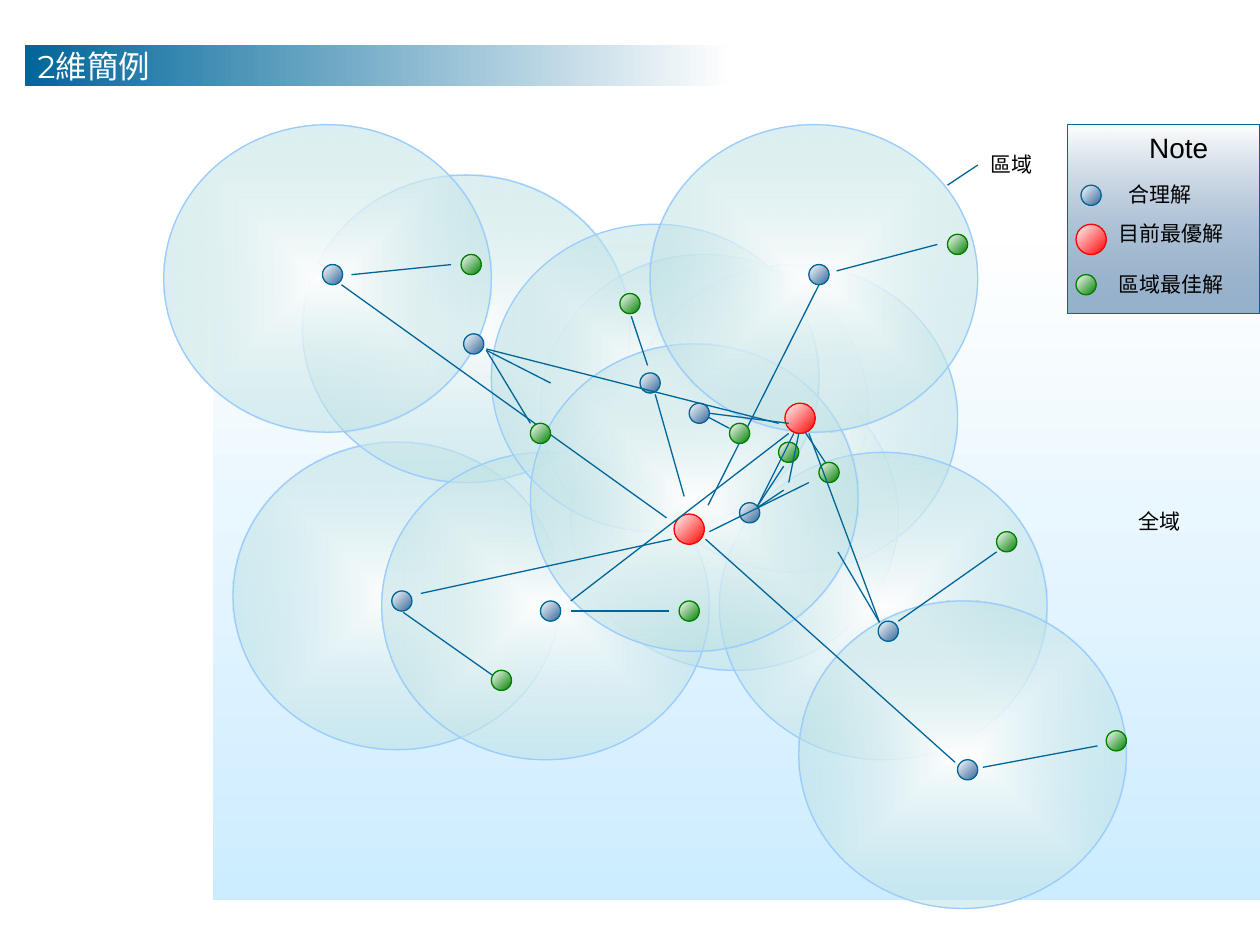
import pptx
import pptx.util
import pptx.dml.color
import pptx.enum.shapes
import pptx.enum.text
import pptx.oxml
import pptx.oxml.ns

# The page is a grid of 100 columns by 75 rows; all lengths are in cells.
CELL = 0.1
COLUMNS, ROWS = 100, 75

COLORS = {
    "white": "FFFFFF", "black": "000000", "pale": "FEFEFE", "sky": "CCECFF",
    "teal": "BBE0E3", "rim": "99CCFF", "deep": "006699", "steel": "336699",
    "red": "FF0000", "green": "008000",
}
SHAPES = pptx.enum.shapes.MSO_SHAPE
ALIGN = pptx.enum.text.PP_ALIGN
ANCHOR = pptx.enum.text.MSO_ANCHOR

# Kinds of dot: diameter, fill and outline
DOTS = {
    "feasible": (1.6, "steel", "deep"),
    "best": (2.4, "red", "red"),
    "local": (1.6, "green", "green"),
}

# Left and top of each region, back to front
REGION_SIZE = (26, 24.4)
REGIONS = [
    (42.9, 20.2), (18.5, 35.1), (45.3, 28.8), (50, 21), (24, 13.9), (57.1, 35.9),
    (30.3, 35.9), (39, 17.8), (42.1, 27.3), (63.4, 47.7), (51.6, 9.9), (13, 9.9),
]

# Left and top of the dots of each kind, below and above the first set of links
OUTER_DOTS = {
    "feasible": [(25.6, 21), (31.1, 46.9), (64.2, 21), (50.8, 29.6), (76, 60.3), (53.9, 41.4)],
    "best": [(53.5, 40.8)],
    "local": [(36.6, 20.2), (75.2, 18.6), (39, 53.2), (87.8, 58), (49.2, 23.3), (65, 36.7)],
}
INNER_DOTS = {
    "feasible": [(36.8, 26.5), (62.6, 32.8), (54.7, 32), (42.9, 47.7), (58.7, 39.9), (69.7, 49.3)],
    "best": [(62.3, 32)],
    "local": [(53.9, 47.7), (42.1, 33.6), (79.1, 42.2), (57.9, 33.6), (61.8, 35.1)],
}

# Links as x1, y1, x2, y2
OUTER_LINKS = [
    (77.6, 13.1, 75.2, 14.7),
    (66.4, 21.5, 74.4, 19.4), (65, 22.6, 56.2, 40.1),
    (27.9, 21.8, 35.8, 21), (27.1, 22.6, 52.9, 41.1),
    (50.1, 25.1, 51.4, 29), (52, 31.3, 54.3, 39.4),
    (33.4, 47.1, 53.3, 42.8), (39.1, 53.6, 32, 48.6),
    (87.1, 59.2, 78, 60.9), (56, 42.8, 75.8, 60.5),
]
INNER_LINKS = [
    (56.3, 42.2, 64.2, 38.3),
    (45.3, 48.5, 53.1, 48.5), (45.3, 47.7, 62.6, 34.4),
    (38.6, 27.8, 42.1, 33.6), (38.6, 27.7, 61.8, 33.6), (38.6, 27.8, 43.7, 30.4),
    (56.2, 33.1, 57.9, 34), (56.3, 32.8, 62.6, 33.6),
    (63.4, 34.4, 62.6, 38.3), (63.9, 34.3, 65.5, 36.7),
    (60.1, 40.2, 63, 34.4), (62.2, 37, 60.1, 40.2), (60.1, 40.3, 62.2, 38.9),
    (71.3, 49.3, 79.1, 43.8), (66.5, 43.8, 69.8, 49.4), (64.2, 34.4, 69.8, 49.4),
]

# Legend rows: kind, dot place, label, label box
LEGEND = [
    ("feasible", (85.8, 14.7), "合理解", (88.6, 13.9, 7, 3)),
    ("best", (85.4, 17.8), "目前最優解", (87.8, 17, 10.3, 3)),
    ("local", (85.4, 21.8), "區域最佳解", (87.8, 21.1, 10.3, 3)),
]


def cells(*values):
    return [pptx.util.Inches(value * CELL) for value in values]


def rgb(name):
    return pptx.dml.color.RGBColor.from_string(COLORS[name])


def set_gradient(shape, first, last, angle=None, opacity=100):
    """Blend first into last; without an angle the blend runs from the centre."""
    if angle is None:
        course = ('<a:path path="rect"><a:fillToRect l="50000" t="50000" '
                  'r="50000" b="50000"/></a:path>')
    else:
        course = f'<a:lin ang="{angle * 60000}" scaled="0"/>'
    gradient = pptx.oxml.parse_xml(
        f'<a:gradFill {pptx.oxml.ns.nsdecls("a")} rotWithShape="1"><a:gsLst>'
        f'<a:gs pos="0"><a:srgbClr val="{COLORS[first]}"/></a:gs>'
        f'<a:gs pos="100000"><a:srgbClr val="{COLORS[last]}">'
        f'<a:alpha val="{opacity * 1000}"/></a:srgbClr></a:gs>'
        f'</a:gsLst>{course}</a:gradFill>')
    shape.fill.background()
    empty_fill = shape._element.spPr.find(pptx.oxml.ns.qn("a:noFill"))
    shape._element.spPr.replace(empty_fill, gradient)


def add_shape(page, kind, place, first, last, line=None, **blend):
    shape = page.shapes.add_shape(kind, *cells(*place))
    shape.shadow.inherit = False
    set_gradient(shape, first, last, **blend)
    if line:
        shape.line.color.rgb = rgb(line)
        shape.line.width = pptx.util.Pt(0.75)
    else:
        shape.line.fill.background()
    return shape


def write(shape, text, size=12, font="Arial", color="black",
          align=ALIGN.CENTER, anchor=ANCHOR.TOP):
    frame = shape.text_frame
    frame.word_wrap = False
    frame.vertical_anchor = anchor
    para = frame.paragraphs[0]
    para.alignment = align
    span = para.add_run()
    span.text = text
    span.font.size = pptx.util.Pt(size)
    span.font.name = font
    span.font.color.rgb = rgb(color)


def add_label(page, text, place, **style):
    box = page.shapes.add_textbox(*cells(*place))
    write(box, text, **style)
    box.text_frame.auto_size = pptx.enum.text.MSO_AUTO_SIZE.SHAPE_TO_FIT_TEXT


def add_dot(page, kind, left, top):
    size, fill, line = DOTS[kind]
    add_shape(page, SHAPES.OVAL, (left, top, size, size), fill, "pale", line, angle=225)


def add_dots(page, groups):
    for kind, places in groups.items():
        for place in places:
            add_dot(page, kind, *place)


def add_links(page, links):
    for ends in links:
        link = page.shapes.add_connector(
            pptx.enum.shapes.MSO_CONNECTOR.STRAIGHT, *cells(*ends))
        link.line.color.rgb = rgb("deep")
        link.line.width = pptx.util.Pt(0.75)
        link._element.spPr.append(
            pptx.oxml.parse_xml(f'<a:effectLst {pptx.oxml.ns.nsdecls("a")}/>'))


def add_legend(page):
    add_shape(page, SHAPES.RECTANGLE, (84.7, 9.9, 15.3, 15), "pale", "steel", "deep",
              angle=90, opacity=50)
    add_label(page, "Note", (90.2, 9.9, 6.7, 3.7), size=16)
    for kind, dot_place, text, text_place in LEGEND:
        add_dot(page, kind, *dot_place)
        add_label(page, text, text_place)


def main():
    deck = pptx.Presentation()
    deck.slide_width, deck.slide_height = cells(COLUMNS, ROWS)
    page = deck.slides.add_slide(deck.slide_layouts[6])

    # Whole search space and its overlapping regions
    add_shape(page, SHAPES.RECTANGLE, (16.9, 19.4, 83.1, 52), "pale", "sky", angle=90)
    for place in REGIONS:
        add_shape(page, SHAPES.OVAL, place + REGION_SIZE, "pale", "teal", "rim", opacity=50)

    # Title bar
    bar = add_shape(page, SHAPES.RECTANGLE, (2, 3.6, 55.9, 3.2), "pale", "deep", angle=180)
    write(bar, "2維簡例", size=18, font="Montserrat", color="white",
          align=ALIGN.LEFT, anchor=ANCHOR.MIDDLE)

    # Legend and area names
    add_legend(page)
    add_label(page, "全域", (89.4, 39.9, 5.3, 3))
    add_label(page, "區域", (77.6, 11.5, 5.3, 3))

    # Solutions and the links between them
    add_dots(page, OUTER_DOTS)
    add_links(page, OUTER_LINKS)
    add_dots(page, INNER_DOTS)
    add_links(page, INNER_LINKS)

    deck.save("out.pptx")


if __name__ == "__main__":
    main()
